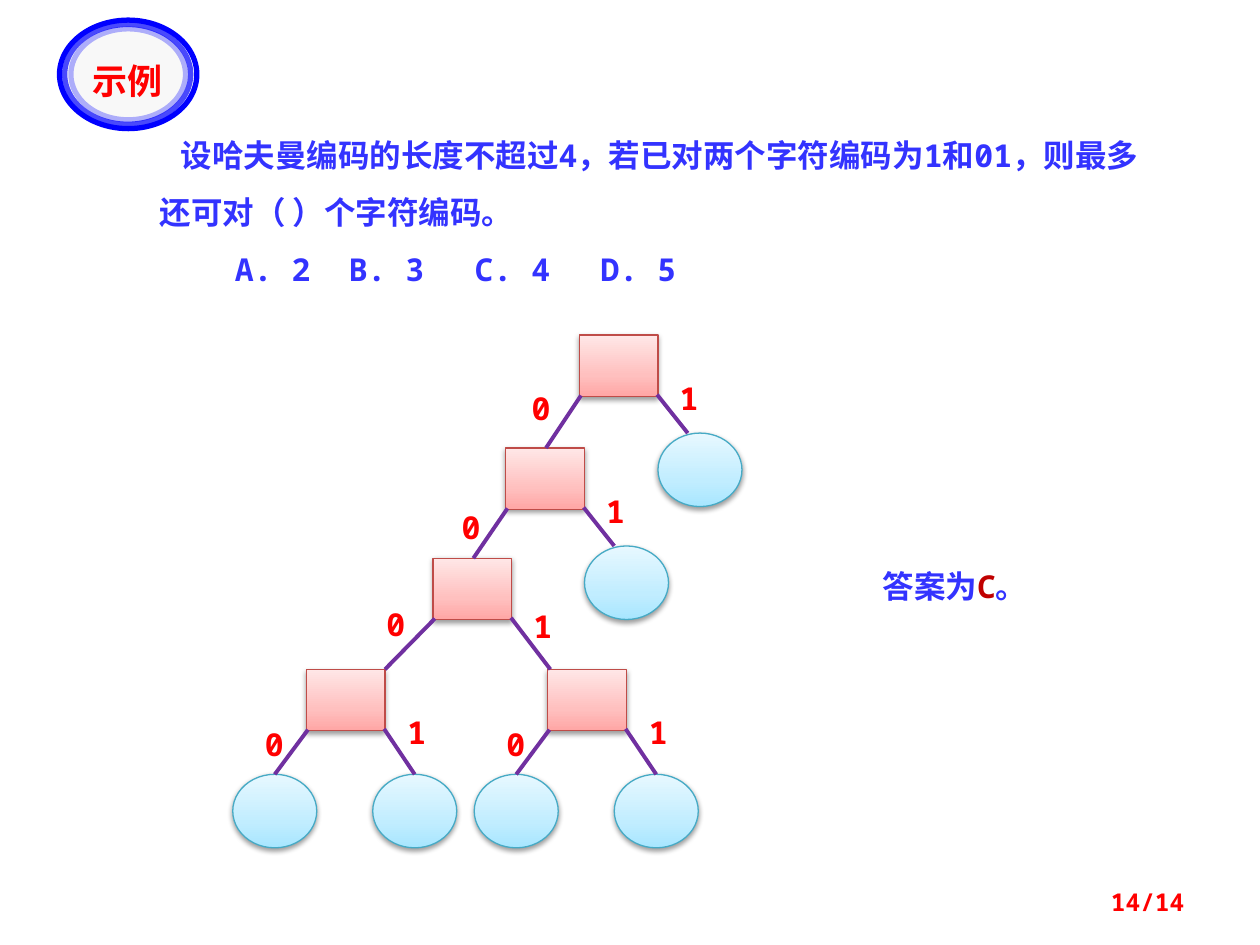
import copy
from dataclasses import dataclass

import lxml.etree
import pptx
import pptx.dml.color
import pptx.enum.shapes
import pptx.enum.text
import pptx.oxml.ns
import pptx.util

Pt = pptx.util.Pt
RGB = pptx.dml.color.RGBColor.from_string
SHAPE = pptx.enum.shapes.MSO_SHAPE
ALIGN = pptx.enum.text.PP_ALIGN
ANCHOR = pptx.enum.text.MSO_ANCHOR


@dataclass(frozen=True)
class Theme:
    mono: str = "Noto Sans Mono"
    cjk: str = "Noto Sans CJK JP"
    blue: str = "3333FF"
    red: str = "FF0000"
    answer: str = "C00000"
    ring: str = "0000FF"
    badge: str = "F8F8F8"
    edge: str = "7030A0"
    # outline colour, then gradient stops from bottom to top
    box: tuple = ("BF4C48", "FFA6A5", "FFC0BF", "FFE7E7")
    leaf: tuple = ("46AAC5", "A7E6FF", "C1EDFF", "E7F8FF")
    badge_size: int = 20
    text_size: int = 18
    page_size: int = 14


def add_xml(parent, tag, **attributes):
    values = {name: str(value) for name, value in attributes.items()}
    return lxml.etree.SubElement(parent, pptx.oxml.ns.qn(tag), values)


class TreeSlide:
    def __init__(self, deck, theme):
        self.theme = theme
        self.slide = deck.slides.add_slide(deck.slide_layouts[1])
        self.shapes = self.slide.shapes

    def place(self, holder, left, top, width, height, wrap=True, anchor=ANCHOR.TOP):
        holder.left, holder.top = Pt(left), Pt(top)
        holder.width, holder.height = Pt(width), Pt(height)
        frame = holder.text_frame
        frame.auto_size = pptx.enum.text.MSO_AUTO_SIZE.NONE
        frame.word_wrap = wrap
        frame.vertical_anchor = anchor
        return frame

    def text_box(self, left, top, width, height, **options):
        holder = self.shapes.add_textbox(0, 0, 0, 0)
        return self.place(holder, left, top, width, height, **options)

    def add_text(self, paragraph, text, color, size=None, face=None, align=None):
        run = paragraph.add_run()
        run.text = text
        run.font.size = Pt(size or self.theme.text_size)
        run.font.bold = True
        run.font.color.rgb = RGB(color)
        run.font.name = face or self.theme.mono
        add_xml(run.font._element, "a:ea", typeface=self.theme.cjk)
        if align is not None:
            paragraph.alignment = align

    def question_line(self, paragraph, text, indent, tabs=()):
        paragraph.line_spacing = 1.5
        paragraph.space_before = Pt(0)
        layout = paragraph._p.get_or_add_pPr()
        layout.set("marL", "0")
        layout.set("indent", str(Pt(indent)))
        add_xml(layout, "a:buNone")
        if tabs:
            stops = add_xml(layout, "a:tabLst")
            for stop in tabs:
                add_xml(stops, "a:tab", pos=Pt(stop), algn="l")
        self.add_text(paragraph, text, self.theme.blue, align=ALIGN.LEFT)

    def ring(self, left, top, width, height, opacity=100, fill=None):
        oval = self.shapes.add_shape(
            SHAPE.OVAL, Pt(left), Pt(top), Pt(width), Pt(height))
        oval.shadow.inherit = False
        if fill:
            oval.fill.solid()
            oval.fill.fore_color.rgb = RGB(fill)
        else:
            oval.fill.background()
        oval.line.width = Pt(3)
        oval.line.color.rgb = RGB(self.theme.ring)
        outline = oval._element.spPr.find(pptx.oxml.ns.qn("a:ln"))
        color = outline.find(".//" + pptx.oxml.ns.qn("a:srgbClr"))
        add_xml(color, "a:alpha", val=opacity * 1000)

    def node(self, kind, left, top, width, height, palette):
        outline, low, middle, high = palette
        node = self.shapes.add_shape(kind, Pt(left), Pt(top), Pt(width), Pt(height))
        node.line.width = Pt(0.75)
        node.line.color.rgb = RGB(outline)
        node.fill.gradient()
        node.fill.gradient_angle = 90
        first = node._element.spPr.find(".//" + pptx.oxml.ns.qn("a:gs"))
        first.addnext(copy.deepcopy(first))
        stops = zip(node.fill.gradient_stops, (0, 0.35, 1), (low, middle, high))
        for stop, position, color in stops:
            stop.position = position
            stop.color.rgb = RGB(color)
        # soft shadow below the node
        node.shadow.inherit = False
        effects = node._element.spPr.find(pptx.oxml.ns.qn("a:effectLst"))
        shadow = add_xml(effects, "a:outerShdw", blurRad=Pt(3.1), dist=Pt(1.6),
                         dir=5400000, rotWithShape=0)
        black = add_xml(shadow, "a:srgbClr", val="000000")
        add_xml(black, "a:alpha", val=38000)

    def box(self, left, top):
        self.node(SHAPE.RECTANGLE, left, top, 45, 35, self.theme.box)

    def leaf(self, left, top):
        self.node(SHAPE.OVAL, left, top, 48, 42, self.theme.leaf)

    def branch(self, parent, bit, tip, label):
        """Edge from a lower corner of a box; tip and label are offsets from it."""
        left, top = parent
        corner = (1, 34.5) if bit == "0" else (44.5, 34)
        edge = self.shapes.add_connector(
            pptx.enum.shapes.MSO_CONNECTOR.STRAIGHT,
            Pt(left + corner[0]), Pt(top + corner[1]),
            Pt(left + tip[0]), Pt(top + tip[1]))
        edge.line.width = Pt(2.25)
        edge.line.color.rgb = RGB(self.theme.edge)
        add_xml(edge._element.spPr, "a:effectLst")
        frame = self.text_box(left + label[0], top + label[1], 24.5, 29, wrap=False)
        self.add_text(frame.paragraphs[0], bit, self.theme.red, align=ALIGN.CENTER)


def main():
    deck = pptx.Presentation()
    deck.slide_width, deck.slide_height = Pt(720), Pt(540)
    theme = Theme()
    page = TreeSlide(deck, theme)

    # Question and options
    question = page.place(page.slide.placeholders[1], 84, 63.5, 585.5, 102)
    page.question_line(
        question.paragraphs[0],
        "设哈夫曼编码的长度不超过4，若已对两个字符编码为1和01，则最多还可对（ ）个字符编码。", 12)
    page.question_line(question.add_paragraph(), "A. 2\tB. 3\tC. 4\tD. 5",
                       43, tabs=(177, 306, 432))

    # Badge, with the title in front of its rings
    page.ring(34, 11.5, 78.5, 62, fill=theme.badge)
    page.ring(37, 14, 72, 57, opacity=70)
    page.ring(40.5, 16.5, 65.5, 52, opacity=30)
    title = page.shapes.title
    heading = page.place(title, 38.5, 30.5, 69, 28)
    page.add_text(heading.paragraphs[0], "示例", theme.red, theme.badge_size,
                  theme.cjk, ALIGN.CENTER)
    title._element.getparent().append(title._element)

    # Code tree: inner nodes
    root, second, third = (331, 191.5), (289, 256), (247.5, 319)
    bottom_pair = (175, 382.5), (313, 382.5)
    for corner in (root, second, third, *bottom_pair):
        page.box(*corner)

    # Code tree: leaves and their branches
    for left, top in (root, second):
        page.leaf(left + 45, top + 56)
        page.branch((left, top), "1", (62, 56), (50.5, 21.5))
    for left, top in bottom_pair:
        for bit, tip_x, label in (("0", -18, (-30.5, 28)), ("1", 62, (51, 21.5))):
            page.leaf(left + tip_x - 24, top + 60)
            page.branch((left, top), bit, (tip_x, 60), label)

    # Code tree: branches between inner nodes
    page.branch(root, "0", (-19, 64.5), (-34, 27.5))
    page.branch(second, "0", (-18.5, 63), (-32, 30.5))
    page.branch(third, "0", (-27.5, 63.5), (-33.5, 23))
    page.branch(third, "1", (67, 63.5), (50.5, 24.5))

    # Answer
    answer = page.text_box(489.5, 320.5, 112.5, 29).paragraphs[0]
    for text, color in (("答案为", theme.blue), ("C", theme.answer), ("。", theme.blue)):
        page.add_text(answer, text, color, align=ALIGN.CENTER)

    # Page number
    number = page.text_box(516, 500.5, 168, 29, anchor=ANCHOR.MIDDLE)
    page.add_text(number.paragraphs[0], "14/14", theme.red, theme.page_size,
                  align=ALIGN.RIGHT)

    deck.save("out.pptx")


if __name__ == "__main__":
    main()
